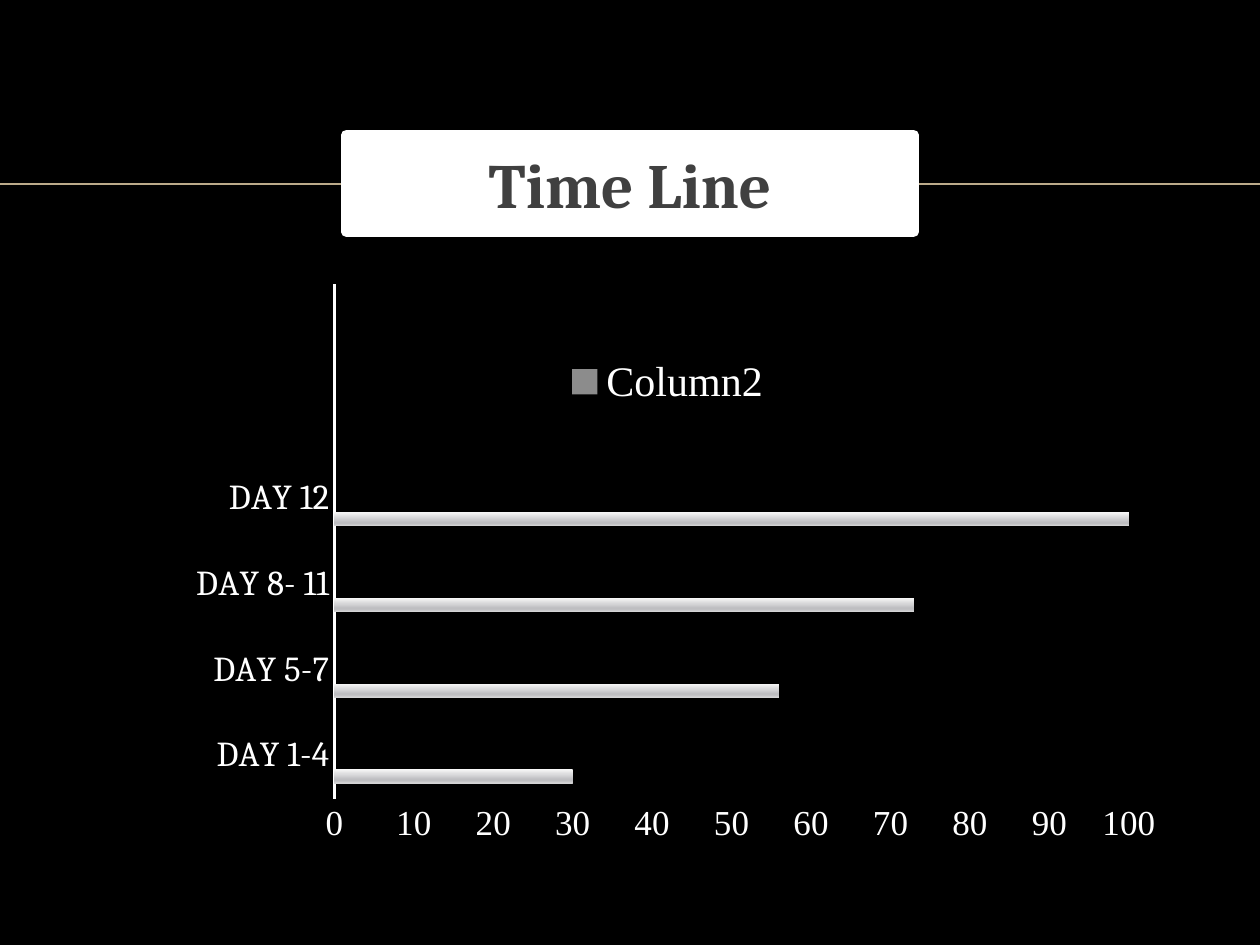
"""Build the Time Line slide with its process level bar chart."""
from lxml.etree import SubElement
from pptx import Presentation
from pptx.chart.data import CategoryChartData
from pptx.dml.color import RGBColor
from pptx.enum.chart import XL_CHART_TYPE, XL_LEGEND_POSITION, XL_TICK_MARK
from pptx.enum.shapes import MSO_CONNECTOR, MSO_SHAPE
from pptx.enum.text import MSO_ANCHOR, PP_ALIGN
from pptx.oxml import parse_xml
from pptx.oxml.ns import nsdecls, qn
from pptx.util import Inches, Pt


def tint(text):
    return RGBColor.from_string(text)


def style(font, name, size, color):
    font.name, font.size = name, Pt(size)
    font.color.rgb = tint(color)


deck = Presentation()
deck.slide_width, deck.slide_height = Inches(10), Inches(7.5)
slide = deck.slides.add_slide(deck.slide_layouts[6])
back = slide.background.fill
back.solid()
back.fore_color.rgb = tint("000000")

rule = slide.shapes.add_connector(
    MSO_CONNECTOR.STRAIGHT, Inches(0), Inches(1.46), Inches(10), Inches(1.46))
rule.line.color.rgb = tint("BBAA8A")
rule.line.width = Pt(1)
SubElement(rule._element.spPr, qn("a:effectLst"))

title = slide.shapes.add_shape(
    MSO_SHAPE.RECTANGLE, Inches(2.75), Inches(1.07), Inches(4.5), Inches(0.77))
title.shadow.inherit = False
title.fill.solid()
title.fill.fore_color.rgb = tint("FFFFFF")
title.line.color.rgb = tint("FFFFFF")
title.line.width = Pt(6)
frame = title.text_frame
frame.word_wrap = True
frame.vertical_anchor = MSO_ANCHOR.MIDDLE
para = frame.paragraphs[0]
para.alignment = PP_ALIGN.CENTER
run = para.add_run()
run.text = "Time Line"
style(run.font, "Cambria", 36, "404040")
run.font.bold = True

data = CategoryChartData()
data.categories = ["DAY 1-4", "DAY 5-7", "DAY 8- 11", "DAY 12", "", ""]
data.add_series("PROCESS LEVEL", [30, 56, 73, 100, None, None])
for name in ("Series 2", "Column2"):
    data.add_series(name, [None] * 6)
chart = slide.shapes.add_chart(
    XL_CHART_TYPE.BAR_CLUSTERED, Inches(0.1), Inches(1.91),
    Inches(9.9), Inches(5.6), data).chart
chart.has_title = False
style(chart.font, "Times New Roman", 10, "FFFFFF")
plot = chart.plots[0]
plot.gap_width, plot.overlap = 227, -48
plot.vary_by_categories = False

stops = [(0, "F8F8F8"), (74, "BEBEC1"), (83, "BEBEC1"), (100, "D4D4D5")]
marks = "".join(
    f'<a:gs pos="{pos * 1000}"><a:srgbClr val="{color}"/></a:gs>'
    for pos, color in stops)
bars = plot.series[0]._element.get_or_add_spPr()
bars.append(parse_xml(
    f'<a:gradFill {nsdecls("a")} rotWithShape="1"><a:gsLst>{marks}</a:gsLst>'
    '<a:lin ang="5400000" scaled="0"/></a:gradFill>'))
for series, color in zip(list(plot.series)[1:], ("B4B4B4", "8C8C8C")):
    series.format.fill.solid()
    series.format.fill.fore_color.rgb = tint(color)

days, scale = chart.category_axis, chart.value_axis
for axis, name in ((days, "Cambria"), (scale, "Times New Roman")):
    axis.has_major_gridlines = False
    axis.major_tick_mark = axis.minor_tick_mark = XL_TICK_MARK.NONE
    style(axis.tick_labels.font, name, 20, "FFFFFF")
days.format.line.color.rgb = tint("FFFFFF")
days.format.line.width = Pt(1.5)
scale.format.line.fill.background()
scale.minimum_scale, scale.maximum_scale, scale.major_unit = 0, 100, 10

chart.has_legend = True
legend = chart.legend
legend.position = XL_LEGEND_POSITION.TOP
legend.include_in_layout = False
style(legend.font, "Times New Roman", 24, "FFFFFF")
key = legend._element
for spot in (1, 2):
    key.insert(spot, parse_xml(
        f'<c:legendEntry {nsdecls("c")}><c:idx val="{spot}"/>'
        '<c:delete val="1"/></c:legendEntry>'))

area = chart._chartSpace.chart.plotArea
places = [(area, "inner", (0.258, 0.062, 0.637, 0.729)),
          (key, None, (0.37, 0.15, 0.31, 0.1))]
for owner, target, box in places:
    for old in owner.findall(qn("c:layout")):
        owner.remove(old)
    layout = parse_xml(f'<c:layout {nsdecls("c")}><c:manualLayout/></c:layout>')
    manual = layout[0]
    if target:
        SubElement(manual, qn("c:layoutTarget")).set("val", target)
    for tag in ("xMode", "yMode"):
        SubElement(manual, qn(f"c:{tag}")).set("val", "edge")
    for tag, part in zip("xywh", box):
        SubElement(manual, qn(f"c:{tag}")).set("val", f"{part:.3f}")
    if target:
        owner.insert(0, layout)
    else:
        owner.find(qn("c:overlay")).addprevious(layout)

deck.save("out.pptx")
